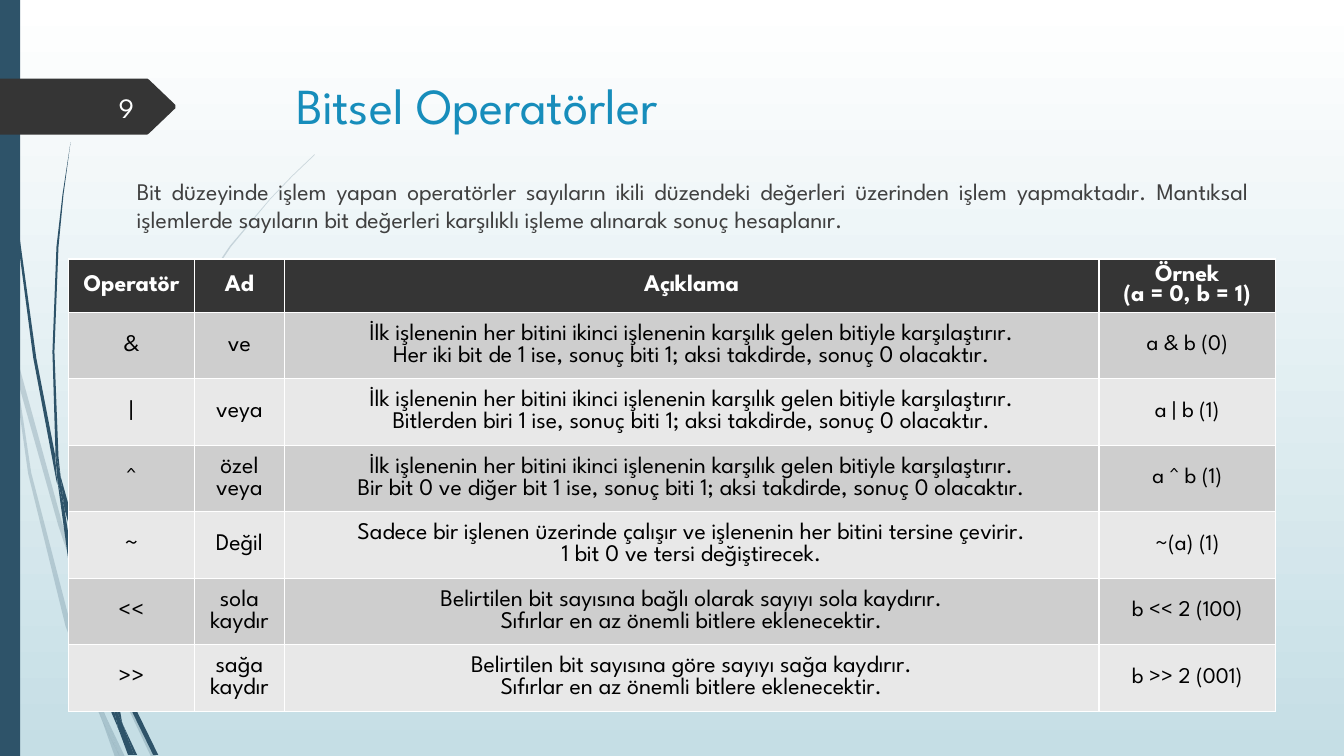
from lxml import etree
from pptx import Presentation
from pptx.dml.color import RGBColor
from pptx.enum.lang import MSO_LANGUAGE_ID as Language
from pptx.enum.shapes import MSO_SHAPE as Shape
from pptx.enum.text import MSO_ANCHOR as Anchor, MSO_AUTO_SIZE as AutoSize, PP_ALIGN as Align
from pptx.oxml.ns import qn
from pptx.util import Inches, Pt

WIDTH, HEIGHT = Inches(13.33), Inches(7.5)
FONT = "League Spartan"
COLORS = {
    "sky_top": "FFFFFF", "sky_bottom": "C5DEE5", "stem": "2E5369", "dark": "353535",
    "title": "178DBB", "body": "404040", "number": "FEFFFF", "header_text": "FFFFFF",
    "cell_text": "000000", "odd_row": "CECECE", "even_row": "E8E8E8",
}

# Outlines of the grass blades; 750 units are the height of the slide.
PALE_BLADES = [
    [(11, 350), (9, 322), (0, 282), (0, 299), (10, 344)],
    [(58, 522), (84, 599), (85, 586), (62, 520), (14, 345), (17, 376)],
    [(92, 607), (88, 596), (88, 610), (123, 694), (150, 751), (155, 751), (127, 692)],
    [(119, 751), (124, 751), (105, 711)],
    [(93, 683), (70, 619), (31, 469), (17, 376), (11, 350), (28, 470), (65, 621),
     (92, 693), (101, 714), (99, 707)],
    [(84, 599), (87, 646), (93, 683), (96, 692), (105, 711), (103, 706), (91, 646),
     (88, 610), (88, 608)],
    [(88, 584), (110, 462), (160, 349), (229, 245), (268, 198), (290, 175), (312, 154),
     (312, 153), (289, 175), (268, 197), (228, 244), (158, 348), (107, 461), (85, 584),
     (85, 586), (88, 596)],
    [(101, 714), (114, 751), (119, 751)],
    [(88, 608), (88, 610), (88, 596), (85, 586), (84, 599)],
    [(96, 692), (93, 683), (99, 707), (101, 714), (119, 751), (105, 711)],
]
DARK_BLADES = [
    [(7, 110), (17, 233), (33, 355), (56, 477), (57, 481), (55, 457), (55, 453), (36, 355),
     (19, 232), (8, 109), (5, 48), (4, 0), (3, 0), (4, 48)],
    [(88, 592), (106, 645), (106, 633), (106, 631), (93, 590), (60, 472), (64, 505)],
    [(113, 649), (110, 641), (111, 656), (132, 708), (152, 749), (157, 749), (136, 706)],
    [(110, 691), (98, 657), (72, 556), (64, 505), (57, 477), (68, 557), (93, 659),
     (111, 708), (117, 722), (116, 717)],
    [(60, 472), (58, 453), (54, 349), (58, 245), (63, 193), (70, 141), (62, 193), (56, 245),
     (52, 349), (55, 449)],
    [(133, 749), (136, 749), (122, 719)],
    [(57, 477), (64, 505), (60, 472), (55, 449), (55, 453)],
    [(111, 633), (125, 552), (158, 476), (205, 406), (231, 374), (245, 359), (261, 344),
     (260, 344), (245, 358), (231, 373), (204, 405), (156, 474), (122, 551), (106, 631),
     (110, 641)],
    [(117, 722), (127, 749), (131, 749)],
    [(106, 645), (110, 691), (116, 706), (122, 719), (121, 716), (111, 656), (109, 651)],
    [(106, 645), (109, 651), (111, 656), (110, 641), (106, 631), (106, 633)],
    [(116, 706), (110, 691), (116, 717), (117, 722), (130, 749), (133, 749), (122, 719)],
]
TAG_OUTLINE = [(0, 0), (84, 0), (85, 2), (100, 47), (100, 53), (85, 98), (84, 100), (0, 100)]

COMPARES = "İlk işlenenin her bitini ikinci işlenenin karşılık gelen bitiyle karşılaştırır."
ZEROS_ADDED = "Sıfırlar en az önemli bitlere eklenecektir."
INTRO = ("Bit düzeyinde işlem yapan operatörler sayıların ikili düzendeki değerleri üzerinden "
         "işlem yapmaktadır. Mantıksal işlemlerde sayıların bit değerleri karşılıklı işleme "
         "alınarak sonuç hesaplanır.")
OPERATORS = [
    (["Operatör"], ["Ad"], ["Açıklama"], ["Örnek", "(a = 0, b = 1)"]),
    (["&"], ["ve"],
     [COMPARES, "Her iki bit de 1 ise, sonuç biti 1; aksi takdirde, sonuç 0 olacaktır."],
     ["a & b (0)"]),
    (["|"], ["veya"],
     [COMPARES, "Bitlerden biri 1 ise, sonuç biti 1; aksi takdirde, sonuç 0 olacaktır."],
     ["a | b (1)"]),
    (["^"], ["özel veya"],
     [COMPARES, "Bir bit 0 ve diğer bit 1 ise, sonuç biti 1; aksi takdirde, sonuç 0 olacaktır."],
     ["a ^ b (1)"]),
    (["~"], ["Değil"],
     ["Sadece bir işlenen üzerinde çalışır ve işlenenin her bitini tersine çevirir.",
      "1 bit 0 ve tersi değiştirecek."], ["~(a) (1)"]),
    (["<<"], ["sola kaydır"],
     ["Belirtilen bit sayısına bağlı olarak sayıyı sola kaydırır.", ZEROS_ADDED],
     ["b << 2 (100)"]),
    ([">>"], ["sağa kaydır"],
     ["Belirtilen bit sayısına göre sayıyı sağa kaydırır.", ZEROS_ADDED], ["b >> 2 (001)"]),
]
COLUMN_SHARES = (10.44, 7.44, 67.5, 14.62)
HEADER_SHARE, ROW_SHARE = 8.74, 15.21


def rgb(name):
    return RGBColor.from_string(COLORS[name])


def share(left, top, width, height):
    """Turn percentages of the slide into a box."""
    return tuple(int(side * part / 100) for side, part in
                 zip((WIDTH, HEIGHT, WIDTH, HEIGHT), (left, top, width, height)))


def paint(part, color, alpha=None):
    part.shadow.inherit = False
    part.fill.solid()
    part.fill.fore_color.rgb = rgb(color)
    part.line.fill.background()
    if alpha:
        tint = part.fill._xPr.find(qn("a:solidFill"))[0]
        etree.SubElement(tint, qn("a:alpha")).set("val", str(alpha * 1000))


def outline(shapes, points, origin, scale):
    builder = shapes.build_freeform(*points[0], scale=scale)
    builder.add_line_segments(points[1:], close=True)
    return builder.convert_to_shape(*origin)


def write(frame, lines, size, color, align, bold=False, spacing=None):
    for index, line in enumerate(lines):
        paragraph = frame.add_paragraph() if index else frame.paragraphs[0]
        paragraph.alignment, paragraph.line_spacing = align, spacing
        run = paragraph.add_run()
        run.text = line
        run.font.name, run.font.size, run.font.bold = FONT, Pt(size), bold
        run.font.language_id = Language.TURKISH
        run.font.color.rgb = rgb(color)


def add_backdrop(slide, box):
    left, top, width, height = box
    sky = slide.background.fill
    sky.gradient()
    sky.gradient_angle = 270
    for stop, position, color in zip(sky.gradient_stops, (0, 1), ("sky_top", "sky_bottom")):
        stop.position, stop.color.rgb = position, rgb(color)
    for blades, alpha in ((PALE_BLADES, 20), (DARK_BLADES, None)):
        tuft = slide.shapes.add_group_shape()
        for blade in blades:
            paint(outline(tuft.shapes, blade, (left, top), height / 750), "stem", alpha)
    paint(slide.shapes.add_shape(Shape.RECTANGLE, left, top, int(width * 0.015), height), "stem")


def add_number_tag(slide, box, number):
    left, top, width, height = box
    paint(outline(slide.shapes, TAG_OUTLINE, (left, top), (width / 100, height / 100)), "dark")
    label = slide.shapes.add_textbox(left + int(width * 0.33), top + int(height * 0.14),
                                     int(width * 0.49), int(height * 0.73))
    label.text_frame.word_wrap = True
    label.text_frame.vertical_anchor = Anchor.MIDDLE
    write(label.text_frame, [number], 20, "number", Align.RIGHT)


def add_heading(slide, box, text):
    title = slide.shapes.title
    slide.shapes._spTree.append(title._element)
    title.left, title.top, title.width, title.height = box
    frame = title.text_frame
    frame.auto_size, frame.vertical_anchor = AutoSize.NONE, Anchor.TOP
    write(frame, [text], 36, "title", Align.LEFT)


def add_intro(slide, box):
    frame = slide.shapes.add_textbox(*box).text_frame
    frame.word_wrap = True
    write(frame, [INTRO], 17, "body", Align.JUSTIFY)
    frame.paragraphs[0].space_before = Pt(10)


def add_operator_table(slide, box):
    table = slide.shapes.add_table(len(OPERATORS), len(COLUMN_SHARES), *box).table
    for column, part in zip(table.columns, COLUMN_SHARES):
        column.width = int(box[2] * part / 100)
    for r, operator in enumerate(OPERATORS):
        header = r == 0
        table.rows[r].height = int(box[3] * (HEADER_SHARE if header else ROW_SHARE) / 100)
        fill = "dark" if header else ("odd_row" if r % 2 else "even_row")
        for c, lines in enumerate(operator):
            cell = table.cell(r, c)
            cell.fill.solid()
            cell.fill.fore_color.rgb = rgb(fill)
            cell.vertical_anchor = Anchor.MIDDLE
            cell.margin_top = cell.margin_bottom = Inches(0 if header else 0.04)
            is_example = c == len(operator) - 1 and not header
            write(cell.text_frame, lines, 16 if is_example else 17,
                  "header_text" if header else "cell_text", Align.CENTER, header,
                  0.93 if header else None)


def main():
    deck = Presentation()
    deck.slide_width, deck.slide_height = WIDTH, HEIGHT
    slide = deck.slides.add_slide(deck.slide_layouts[5])
    add_backdrop(slide, share(0, 0, 100, 100))
    add_number_tag(slide, share(0, 10.4, 13.05, 7.4), "9")
    add_heading(slide, share(21.3, 9.07, 73.14, 18.67), "Bitsel Operatörler")
    add_intro(slide, share(9.45, 22.67, 84.25, 11.6))
    add_operator_table(slide, share(5.1, 34.27, 89.8, 57.87))
    deck.save("out.pptx")


if __name__ == "__main__":
    main()
